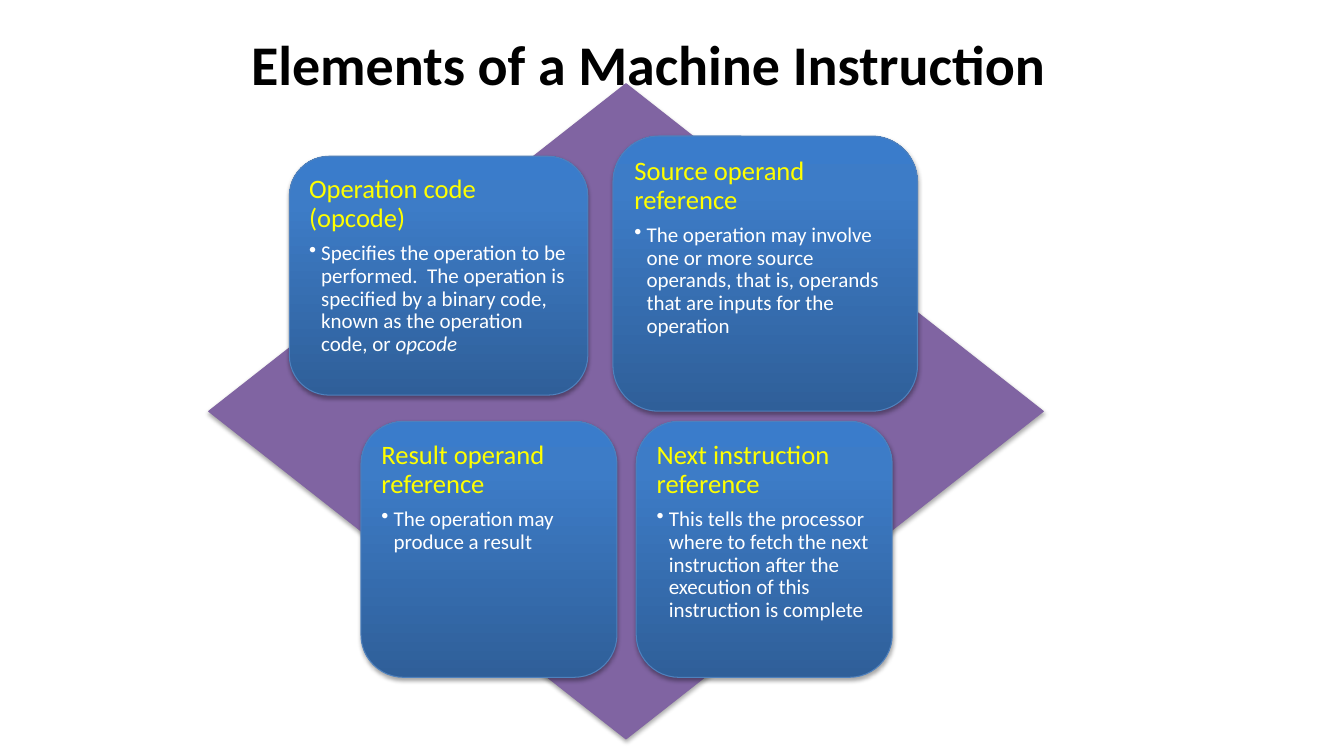
from dataclasses import dataclass

from pptx import Presentation
from pptx.dml.color import RGBColor
from pptx.enum.shapes import MSO_SHAPE as Shape
from pptx.enum.text import MSO_ANCHOR as Anchor, PP_ALIGN as Align
from pptx.oxml import parse_xml
from pptx.oxml.ns import nsdecls
from pptx.util import Emu, Inches, Pt


@dataclass(frozen=True)
class Theme:
    """Colours, font and type sizes of the slide."""
    font: str = "Calibri"
    title: str = "000000"
    diamond: str = "8064A2"
    card_line: str = "4F81BD"
    card_stops: tuple = ((0, "2F5F99"), (80, "3D7CC7"), (100, "3A7CCB"))
    heading: str = "FFFF00"
    body: str = "FFFFFF"
    title_size: float = 40
    heading_size: float = 19
    body_size: float = 15


class Deck:
    """Holds the theme and current slide; boxes are percentages of the slide."""

    def __init__(self, prs, theme):
        """Add a blank slide to the presentation."""
        self.prs, self.theme = prs, theme
        self.slide = prs.slides.add_slide(prs.slide_layouts[6])

    def place(self, box):
        """Turn left, top, width, height in percent into lengths."""
        sides = (self.prs.slide_width, self.prs.slide_height) * 2
        return [Emu(round(share * side / 100)) for share, side in zip(box, sides)]

    def style(self, r, size, color, bold=None, italic=None):
        """Format one run."""
        r.font.name, r.font.size = self.theme.font, Pt(size)
        r.font.color.rgb = RGBColor.from_string(color)
        r.font.bold, r.font.italic = bold, italic

    def frame(self, s, inset, anchor):
        """Prepare the text frame of a shape."""
        tf = s.text_frame
        tf.word_wrap, tf.vertical_anchor = True, anchor
        tf.margin_left = tf.margin_right = Inches(inset)
        tf.margin_top = tf.margin_bottom = Inches(inset)
        return tf

    def title(self, text, box):
        """Add the slide title."""
        s = self.slide.shapes.add_textbox(*self.place(box))
        tf = self.frame(s, 0, Anchor.MIDDLE)
        tf.text = text
        self.style(tf.paragraphs[0].runs[0], self.theme.title_size,
                   self.theme.title, bold=True)

    def shape(self, kind, box, line):
        """Add an outlined shape with a soft shadow below it."""
        s = self.slide.shapes.add_shape(kind, *self.place(box))
        s.line.color.rgb = RGBColor.from_string(line)
        s.line.width = Pt(0.75)
        s.shadow.inherit = False
        s._element.spPr.remove(s._element.spPr[-1])
        s._element.spPr.append(parse_xml(
            f'<a:effectLst {nsdecls("a")}><a:outerShdw blurRad="{Pt(3.1)}" '
            f'dist="{Pt(1.8)}" dir="5400000" rotWithShape="0">'
            '<a:srgbClr val="000000"><a:alpha val="35000"/></a:srgbClr>'
            '</a:outerShdw></a:effectLst>'))
        return s

    def diamond(self, box):
        """Add the backdrop diamond."""
        s = self.shape(Shape.DIAMOND, box, self.theme.diamond)
        s.fill.solid()
        s.fill.fore_color.rgb = RGBColor.from_string(self.theme.diamond)

    def card(self, heading, body, box, term=""):
        """Add a gradient card with a heading, a bullet and an italic term."""
        t = self.theme
        s = self.shape(Shape.ROUNDED_RECTANGLE, box, t.card_line)
        stops = "".join(f'<a:gs pos="{pos * 1000}"><a:srgbClr val="{color}"/></a:gs>'
                        for pos, color in t.card_stops)
        s.line._ln.addprevious(parse_xml(
            f'<a:gradFill {nsdecls("a")} rotWithShape="1"><a:gsLst>{stops}</a:gsLst>'
            '<a:lin ang="16200000" scaled="0"/></a:gradFill>'))
        tf = self.frame(s, 0.08, Anchor.TOP)
        tf.text = heading
        p = tf.paragraphs[0]
        self.style(p.runs[0], t.heading_size, t.heading)
        bullet = tf.add_paragraph()
        bullet.text = body
        self.style(bullet.runs[0], t.body_size, t.body)
        if term:
            r = bullet.add_run()
            r.text = term
            self.style(r, t.body_size, t.body, italic=True)
        for para, after in ((p, 0.35 * t.heading_size), (bullet, 0.15 * t.body_size)):
            para.alignment, para.line_spacing = Align.LEFT, 0.9
            para.space_after = Pt(after)
        bullet.level = 1
        pPr = bullet._p.get_or_add_pPr()
        pPr.set("marL", str(Inches(0.12)))
        pPr.set("indent", str(-Inches(0.12)))
        pPr.append(parse_xml(f'<a:buChar {nsdecls("a")} char="•"/>'))


def main():
    """Build and save the slide."""
    prs = Presentation()
    prs.slide_width, prs.slide_height = Inches(13.33), Inches(7.5)
    deck = Deck(prs, Theme())
    deck.title("Elements of a Machine Instruction", (18.68, 3.33, 61.97, 10))
    deck.diamond((15.53, 11.07, 62.1, 86.67))
    deck.card("Operation code (opcode)",
              "Specifies the operation to be performed.  The operation is "
              "specified by a binary code, known as the operation code, or ",
              (21.53, 20.67, 22.21, 31.6), term="opcode")
    deck.card("Source operand reference",
              "The operation may involve one or more source operands, that is, "
              "operands that are inputs for the operation",
              (45.61, 18, 22.66, 36.4))
    lower_cards = (
        ("Result operand reference", "The operation may produce a result"),
        ("Next instruction reference",
         "This tells the processor where to fetch the next instruction after "
         "the execution of this instruction is complete"))
    for i, (heading, body) in enumerate(lower_cards):
        deck.card(heading, body, (26.86 + 20.48 * i, 55.73, 19.05, 33.87))
    prs.save("out.pptx")


main()
